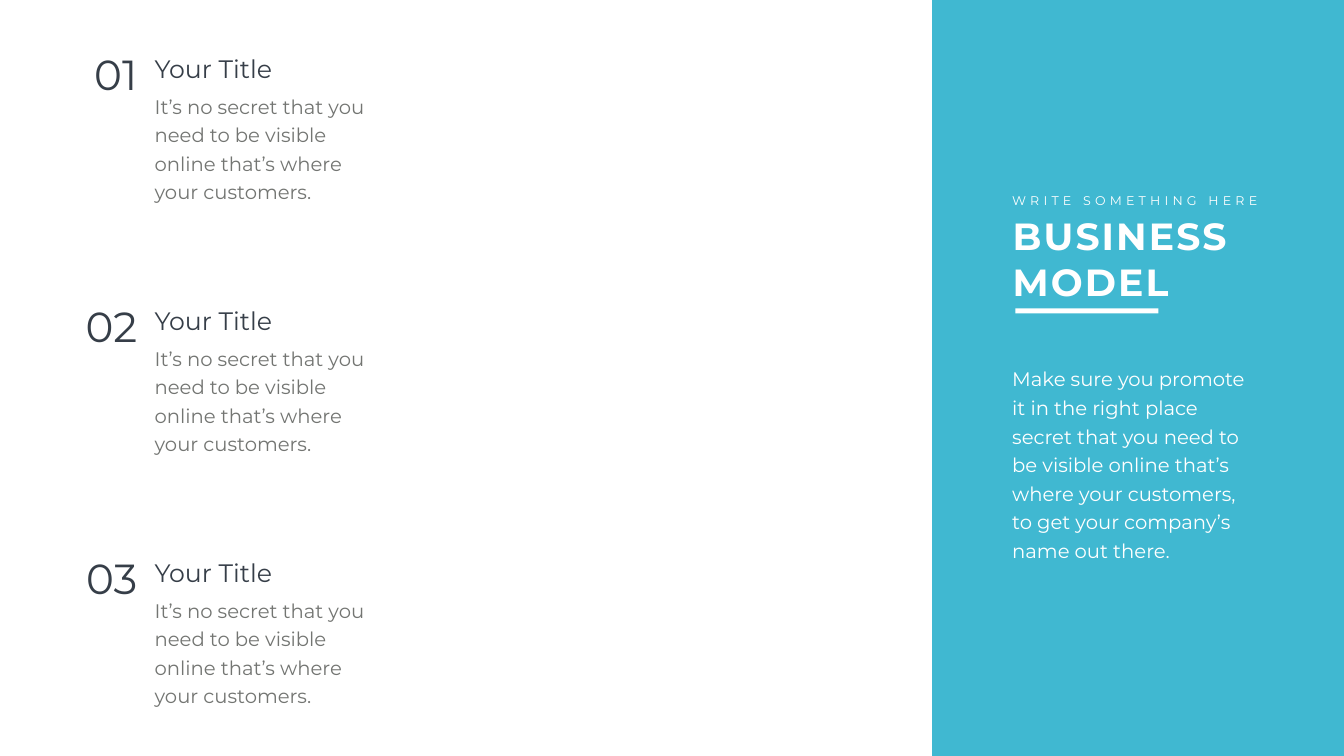
"""Build a business model slide with three numbered points and a side panel."""
from dataclasses import dataclass

from pptx import Presentation
from pptx.dml.color import RGBColor as Rgb
from pptx.enum.shapes import MSO_SHAPE as Shape
from pptx.enum.text import MSO_AUTO_SIZE as Auto, PP_ALIGN as Align
from pptx.util import Inches, Pt


@dataclass(frozen=True)
class Theme:
    face: str = "Montserrat"
    teal: str = "40B8D1"
    white: str = "FFFFFF"
    dark: str = "363E48"
    grey: str = "737572"
    label: int = 18
    body: int = 28
    head: int = 36
    title: int = 54
    digit: int = 60
    pitch: float = 40.8


THEME = Theme()
POINTS = [("Your Title", "It’s no secret that you need to be visible online "
           "that’s where your customers.")] * 3
PITCH = "Make sure you promote it in the right place secret that you need to " \
        "be visible online that’s where your customers, to get your company’s " \
        "name out there."


def add_bar(shapes, box, color):
    bar = shapes.add_shape(Shape.RECTANGLE, *map(Inches, box))
    bar.shadow.inherit = False
    bar.fill.solid()
    bar.fill.fore_color.rgb = Rgb.from_string(color)
    bar.line.fill.background()


def add_text(shapes, box, text, size, color, bold=False, align=Align.LEFT,
             lead=None, track=0, wrap=True):
    frame = shapes.add_textbox(*map(Inches, box)).text_frame
    frame.word_wrap = wrap
    frame.auto_size = Auto.SHAPE_TO_FIT_TEXT
    para = frame.paragraphs[0]
    para.alignment = align
    if lead:
        para.line_spacing = Pt(lead)
    run = para.add_run()
    run.text = text
    if track:
        run._r.get_or_add_rPr().set("spc", str(track * 100))
    font = para.font
    font.name, font.size, font.bold = THEME.face, Pt(size), bold
    font.color.rgb = Rgb.from_string(color)


def add_point(slide, top, digit, title, body):
    shapes = slide.shapes.add_group_shape().shapes
    add_text(shapes, (2.97, top + 0.73, 4.47, 2.35), body, THEME.body,
             THEME.grey, lead=THEME.pitch)
    add_text(shapes, (2.97, top, 2.68, 0.71), title, THEME.head, THEME.dark)
    add_text(shapes, (1.31, top - 0.09, 1.51, 1.11), digit, THEME.digit,
             THEME.dark, align=Align.RIGHT)


def add_panel(slide):
    shapes = slide.shapes.add_group_shape().shapes
    add_bar(shapes, (18.49, 0, 8.17, 15), THEME.teal)
    add_text(shapes, (19.99, 4.18, 5.17, 1.92), "BUSINESS MODEL", THEME.title,
             THEME.white, bold=True, track=3)
    add_text(shapes, (19.98, 3.78, 5.18, 0.4), "WRITE SOMETHING HERE",
             THEME.label, THEME.white, track=6, wrap=False)
    add_bar(shapes, (20.14, 6.12, 2.84, 0.1), THEME.white)
    add_text(shapes, (19.98, 7.14, 4.83, 4.08), PITCH, THEME.body,
             THEME.white, lead=THEME.pitch)


def main():
    deck = Presentation()
    deck.slide_width, deck.slide_height = Inches(26.66), Inches(15)
    slide = deck.slides.add_slide(deck.slide_layouts[6])
    add_panel(slide)
    for row, (title, body) in enumerate(POINTS):
        add_point(slide, 1 + 5 * row, f"{row + 1:02}", title, body)
    deck.save("out.pptx")


if __name__ == "__main__":
    main()
